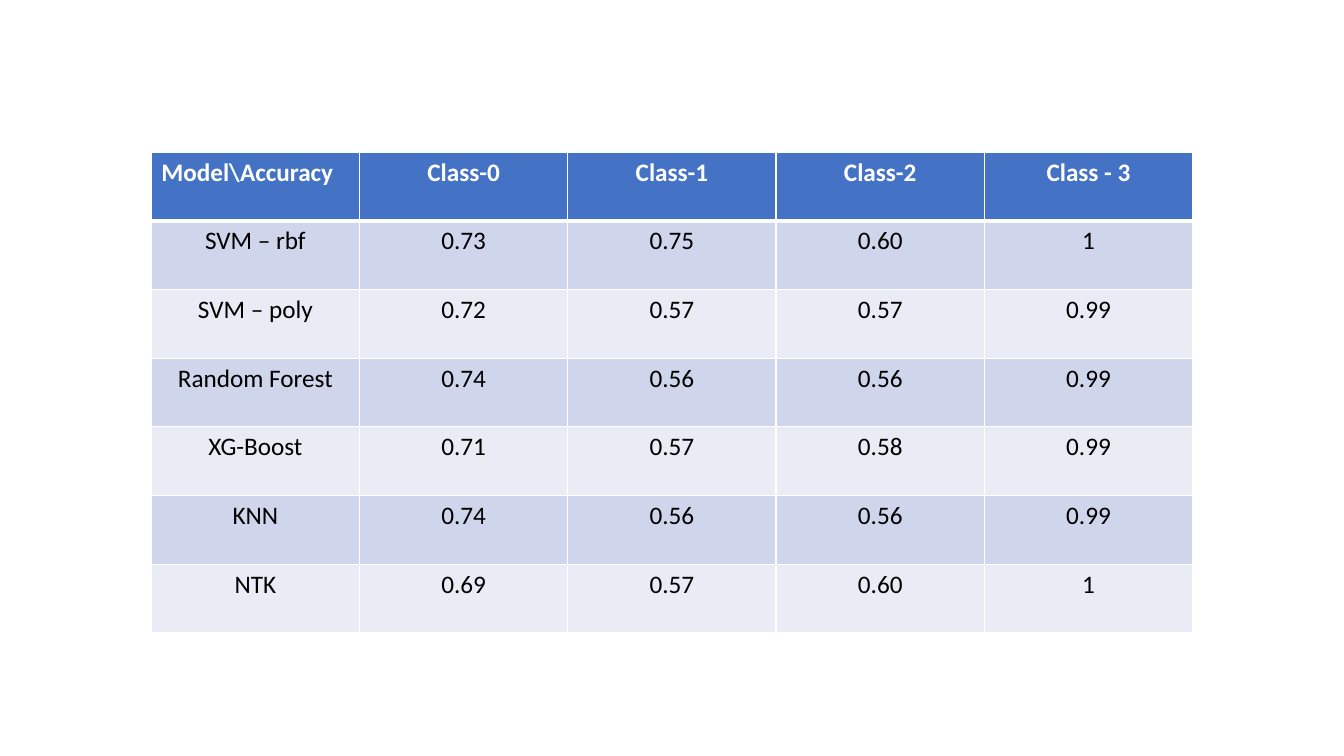
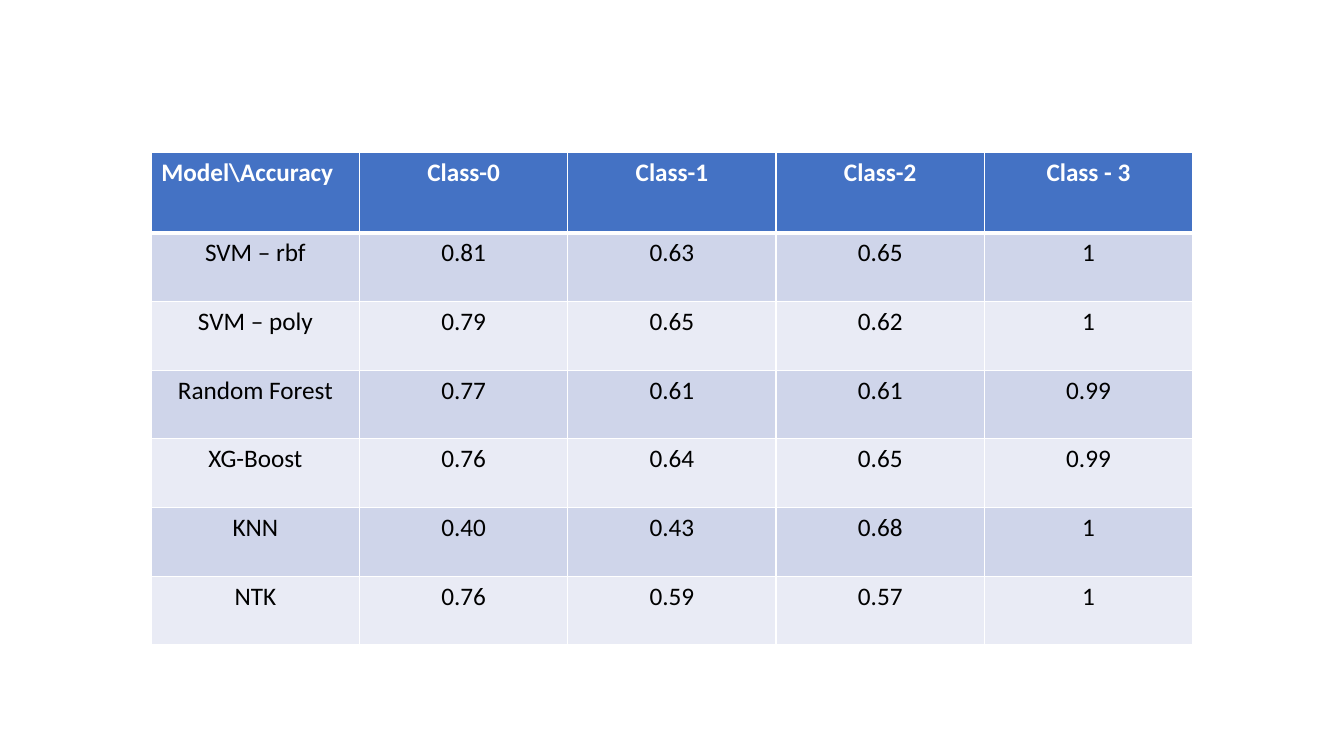
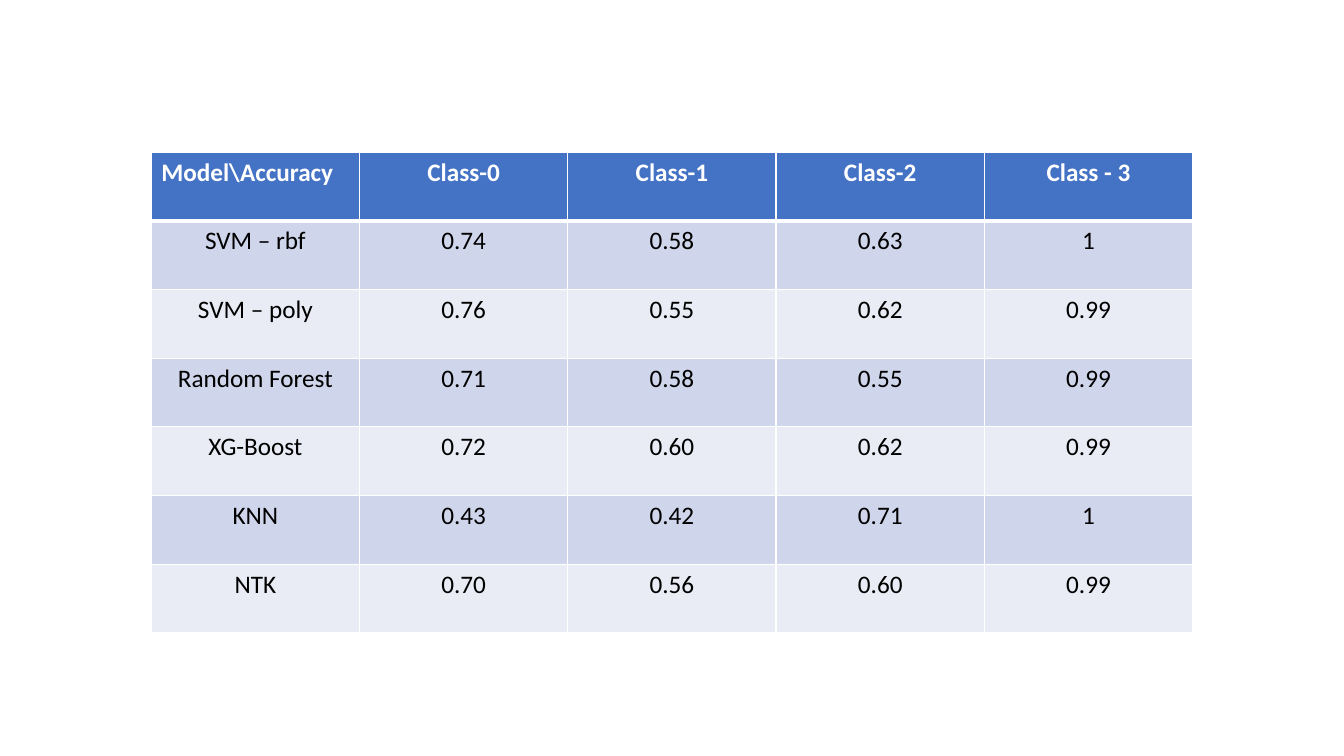
from dataclasses import dataclass

import pptx
from lxml import etree
from pptx import dml as _dml
from pptx import util as u
from pptx.dml import color as c
from pptx.enum import text as t
from pptx.oxml import ns


@dataclass(frozen=True)
class Theme:
    font: str = "Calibri"
    size: int = 18
    header_fill: str = "4472C4"
    band_fills: tuple[str, str] = ("CFD5EA", "E9EBF5")
    header_text: str = "FFFFFF"
    body_text: str = "000000"
    rule: str = "FFFFFF"
    thin: int = 1
    thick: int = 3


@dataclass(frozen=True)
class Results:
    scores: tuple[str, ...]
    header_height: float


THEME = Theme()
LEFT, TOP, WIDTH = 1.5, 1.51, 10.33
ROW_HEIGHT = 4.77 / 7
HEADINGS = ("Model\\Accuracy", "Class-0", "Class-1", "Class-2", "Class - 3")
MODELS = ("SVM – rbf", "SVM – poly", "Random Forest", "XG-Boost", "KNN", "NTK")

RESULTS = (
    Results(
        (
            "0.73 0.75 0.60 1",
            "0.72 0.57 0.57 0.99",
            "0.74 0.56 0.56 0.99",
            "0.71 0.57 0.58 0.99",
            "0.74 0.56 0.56 0.99",
            "0.69 0.57 0.60 1",
        ),
        ROW_HEIGHT,
    ),
    Results(
        (
            "0.81 0.63 0.65 1",
            "0.79 0.65 0.62 1",
            "0.77 0.61 0.61 0.99",
            "0.76 0.64 0.65 0.99",
            "0.40 0.43 0.68 1",
            "0.76 0.59 0.57 1",
        ),
        0.8,
    ),
    Results(
        (
            "0.74 0.58 0.63 1",
            "0.76 0.55 0.62 0.99",
            "0.71 0.58 0.55 0.99",
            "0.72 0.60 0.62 0.99",
            "0.43 0.42 0.71 1",
            "0.70 0.56 0.60 0.99",
        ),
        ROW_HEIGHT,
    ),
)


def add_borders(cell, row: int) -> None:
    properties = cell._tc.get_or_add_tcPr()
    widths = {
        "a:lnL": THEME.thin,
        "a:lnR": THEME.thin,
        "a:lnT": THEME.thick if row == 1 else THEME.thin,
        "a:lnB": THEME.thick if row == 0 else THEME.thin,
    }
    for side, width in widths.items():
        line = etree.SubElement(properties, ns.qn(side), w=str(u.Pt(width)))
        fill = etree.SubElement(line, ns.qn("a:solidFill"))
        etree.SubElement(fill, ns.qn("a:srgbClr"), val=THEME.rule)


def fill_cell(cell, label: str, row: int, column: int) -> None:
    is_header = row == 0
    add_borders(cell, row)
    background = THEME.header_fill if is_header else THEME.band_fills[(row - 1) % 2]
    cell.fill.solid()
    cell.fill.fore_color.rgb = c.RGBColor.from_string(background)
    cell.text_frame.text = label
    paragraph = cell.text_frame.paragraphs[0]
    is_corner = is_header and column == 0
    paragraph.alignment = t.PP_ALIGN.LEFT if is_corner else t.PP_ALIGN.CENTER
    font = paragraph.runs[0].font
    font.name = THEME.font
    font.size = u.Pt(THEME.size)
    font.bold = is_header
    ink = THEME.header_text if is_header else THEME.body_text
    font.color.rgb = c.RGBColor.from_string(ink)


def add_results(slide, results: Results) -> None:
    body = [(model, *line.split()) for model, line in zip(MODELS, results.scores)]
    rows = [HEADINGS, *body]
    heights = [results.header_height] + [ROW_HEIGHT] * len(body)
    table = slide.shapes.add_table(
        len(rows),
        len(HEADINGS),
        u.Inches(LEFT),
        u.Inches(TOP),
        u.Inches(WIDTH),
        u.Inches(sum(heights)),
    ).table
    for column in table.columns:
        column.width = u.Inches(WIDTH / len(HEADINGS))
    for row, (labels, height) in enumerate(zip(rows, heights)):
        table.rows[row].height = u.Inches(height)
        for column, label in enumerate(labels):
            fill_cell(table.cell(row, column), label, row, column)


def main() -> None:
    deck = pptx.Presentation()
    deck.slide_width = u.Inches(13.33)
    deck.slide_height = u.Inches(7.5)
    for results in RESULTS:
        add_results(deck.slides.add_slide(deck.slide_layouts[6]), results)
    deck.save("out.pptx")


if __name__ == "__main__":
    main()
